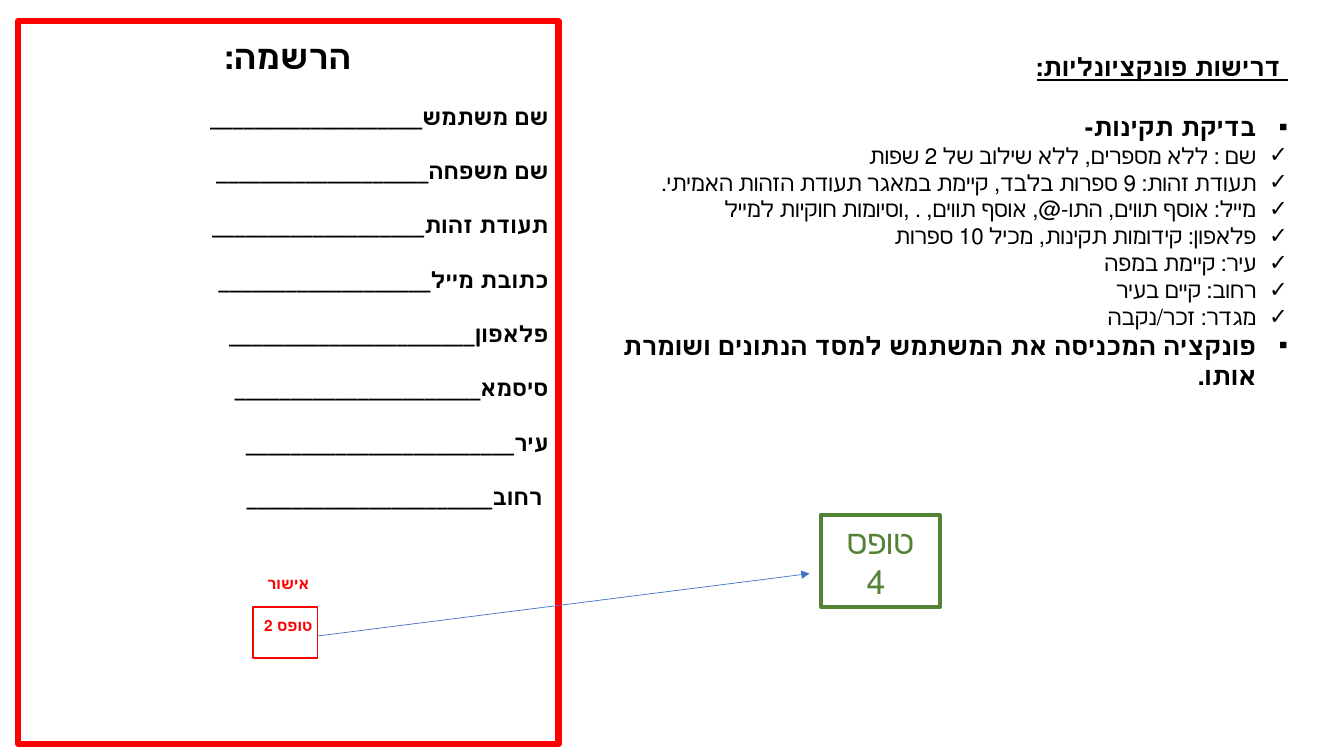
from lxml import etree
from pptx import Presentation, util as u
from pptx.dml.color import RGBColor
from pptx.enum import shapes, text
from pptx.oxml.ns import qn

RED = RGBColor(0xFF, 0x00, 0x00)
GREEN = RGBColor(0x54, 0x82, 0x35)
BLUE = RGBColor(0x44, 0x72, 0xC4)
BLACK = RGBColor(0x00, 0x00, 0x00)
CENTER, RIGHT = text.PP_ALIGN.CENTER, text.PP_ALIGN.RIGHT

prs = Presentation()
prs.slide_width, prs.slide_height = u.Inches(13.33), u.Inches(7.5)
s = prs.slides.add_slide(prs.slide_layouts[6])


def share(*percents):
    """Turn alternating horizontal and vertical percentages into slide lengths."""
    sizes = (prs.slide_width, prs.slide_height)
    return [int(sizes[i % 2] * pc / 100) for i, pc in enumerate(percents)]


def add_line(tf, words, font, para, bullet=None):
    """Add one right-to-left paragraph, using the empty first one if it is free."""
    p = tf.paragraphs[0] if not tf.paragraphs[0].runs else tf.add_paragraph()
    for name, value in para.items():
        setattr(p, name, value)
    pPr = p._p.get_or_add_pPr()
    pPr.set("rtl", "1")
    if bullet:
        pPr.set("marL", str(u.Inches(0.31)))
        pPr.set("indent", str(-u.Inches(0.31)))
        etree.SubElement(pPr, qn("a:buFont")).set("typeface", "Calibri")
        etree.SubElement(pPr, qn("a:buChar")).set("char", bullet)
    r = p.add_run()
    r.text = words
    r.font.name = "Calibri"
    r.font.color.rgb = font.get("color", BLACK)
    for name in ("size", "bold", "underline"):
        if name in font:
            setattr(r.font, name, font[name])
    r._r.get_or_add_rPr().set("lang", "he-IL")


# Frames: registration panel, confirm button, form 4
frames = []
for place, color, width in [
    ((1.35, 2.8, 40.2, 95.6), RED, 4.5),
    ((18.83, 80.27, 4.8, 6.8), RED, 1),
    ((61.07, 68.13, 8.85, 12.13), GREEN, 3),
]:
    sp = s.shapes.add_shape(shapes.MSO_SHAPE.RECTANGLE, *share(*place))
    sp.shadow.inherit = False
    sp.fill.background()
    sp.line.color.rgb, sp.line.width = color, u.Pt(width)
    sp.text_frame.word_wrap = True
    frames.append(sp)
panel, button, form = frames

# Registration form
tf = panel.text_frame
tf.vertical_anchor = text.MSO_ANCHOR.TOP
tf.margin_top = u.Inches(0.26)
add_line(tf, "הרשמה:", {"size": u.Pt(24), "bold": True},
         {"alignment": CENTER, "line_spacing": 0.7})
fields = [("שם משתמש", 19), ("שם משפחה", 19), ("תעודת זהות", 19), ("כתובת מייל", 19),
          ("פלאפון", 22), ("סיסמא", 22), ("עיר", 24), (" רחוב", 22)]
for label, blanks in fields:
    add_line(tf, label + "_" * blanks, {"size": u.Pt(16), "bold": True},
             {"alignment": RIGHT, "line_spacing": 1.5, "space_before": u.Pt(10)})
for words, gap in [("אישור", 39.5), ("טופס 2", 10)]:
    add_line(tf, words, {"size": u.Pt(11), "bold": True, "color": RED},
             {"alignment": CENTER, "line_spacing": 1.5, "space_before": u.Pt(gap)})

# Functional requirements
tf = s.shapes.add_textbox(*share(43.14, 6.13, 53.41, 68.67)).text_frame
tf.word_wrap = True
add_line(tf, " דרישות פונקציונליות:", {"size": u.Pt(18), "bold": True, "underline": True},
         {"alignment": RIGHT, "space_after": u.Pt(21.5)})
heading = {"size": u.Pt(18), "bold": True}
detail = {"size": u.Pt(16), "bold": False}
for words, font, bullet in [
    ("בדיקת תקינות-", heading, "▪"),
    ("שם : ללא מספרים, ללא שילוב של 2 שפות", detail, "✓"),
    ("תעודת זהות: 9 ספרות בלבד, קיימת במאגר תעודת הזהות האמיתי.", detail, "✓"),
    ("מייל: אוסף תווים, התו-@, אוסף תווים, . ,וסיומות חוקיות למייל", detail, "✓"),
    ("פלאפון: קידומות תקינות, מכיל 10 ספרות", detail, "✓"),
    ("עיר: קיימת במפה", detail, "✓"),
    ("רחוב: קיים בעיר", detail, "✓"),
    ("מגדר: זכר/נקבה", detail, "✓"),
    ("פונקציה המכניסה את המשתמש למסד הנתונים ושומרת אותו.", heading, "▪"),
]:
    add_line(tf, words, font, {"alignment": RIGHT}, bullet)

# Form 4 label
for words in ("טופס", " 4"):
    add_line(form.text_frame, words, {"size": u.Pt(24), "color": GREEN}, {"alignment": CENTER})

# Arrow from the button to form 4
arrow = s.shapes.add_connector(shapes.MSO_CONNECTOR.STRAIGHT,
                               *share(23.63, 84.13, 60.24, 75.87))
arrow.line.color.rgb, arrow.line.width = BLUE, u.Pt(0.5)
etree.SubElement(arrow.line._get_or_add_ln(), qn("a:tailEnd")).set("type", "triangle")
etree.SubElement(arrow._element.spPr, qn("a:effectLst"))

prs.save("out.pptx")
